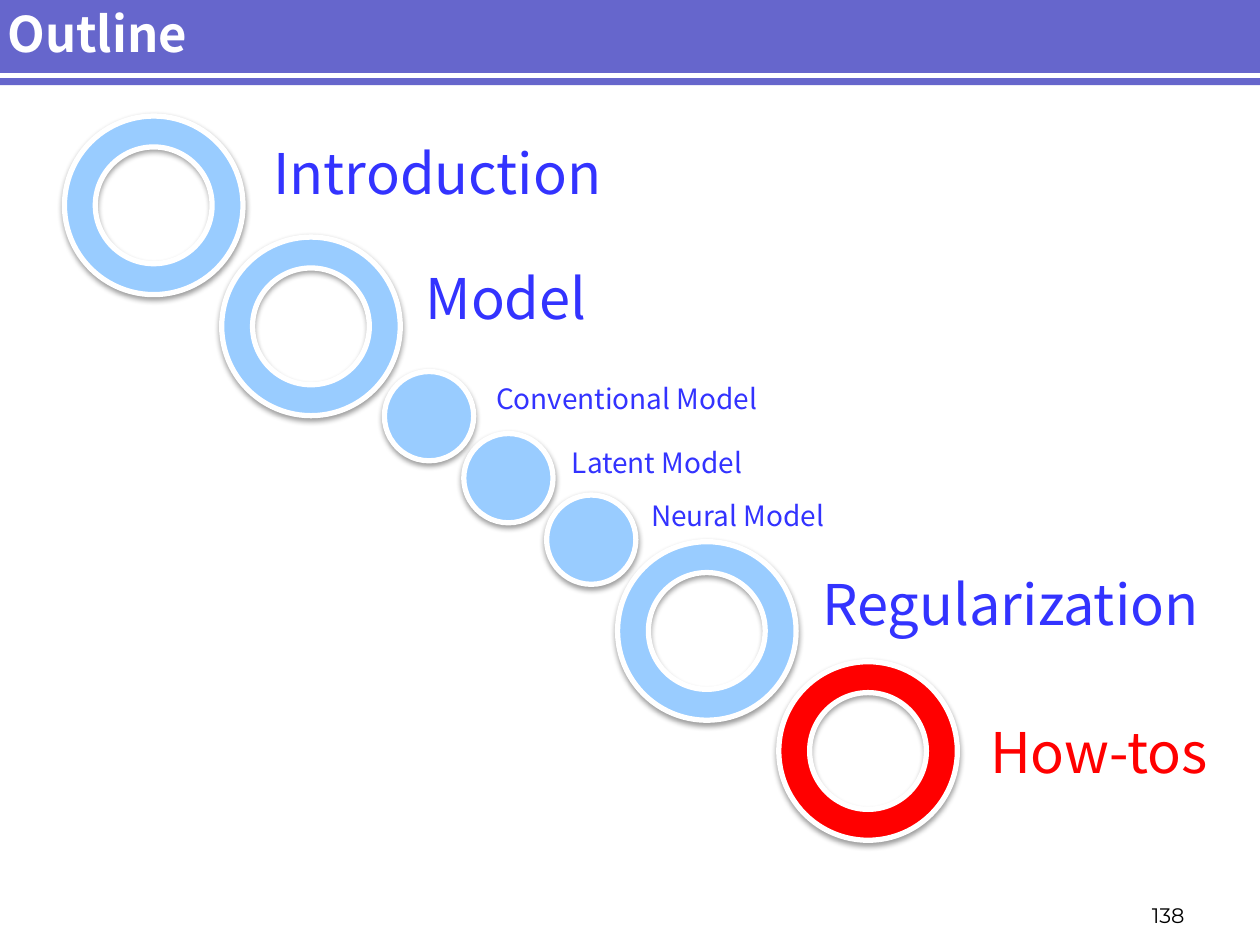
from lxml import etree
from pptx import Presentation
from pptx.dml.color import RGBColor
from pptx.enum.shapes import MSO_CONNECTOR, MSO_SHAPE
from pptx.enum.text import MSO_ANCHOR, PP_ALIGN
from pptx.oxml import parse_xml
from pptx.oxml.ns import nsdecls, qn
from pptx.util import Cm, Pt

RECTANGLE, DONUT, OVAL = MSO_SHAPE.RECTANGLE, MSO_SHAPE.DONUT, MSO_SHAPE.OVAL
STRAIGHT = MSO_CONNECTOR.STRAIGHT
TOP, MIDDLE, BOTTOM = MSO_ANCHOR.TOP, MSO_ANCHOR.MIDDLE, MSO_ANCHOR.BOTTOM
LEFT, RIGHT = PP_ALIGN.LEFT, PP_ALIGN.RIGHT

WHITE = RGBColor(0xFF, 0xFF, 0xFF)
BLACK = RGBColor(0x00, 0x00, 0x00)
PURPLE = RGBColor(0x66, 0x66, 0xCC)
SKY = RGBColor(0x99, 0xCC, 0xFF)
BLUE = RGBColor(0x33, 0x33, 0xFF)
RED = RGBColor(0xFF, 0x00, 0x00)

TITLE_FONT = "Noto Sans CJK SC"
LABEL_FONT = "Noto Sans CJK JP"
NUMBER_FONT = "Montserrat"

# Topic, marker left and top, label offset from the marker (cm), ring and text colours
TOPICS = [
    ("Introduction", 1.3, 2.34, 3.96, 0.33, SKY, BLUE),
    ("Model", 4.47, 4.78, 3.86, 0.4, SKY, BLUE),
    ("Regularization", 12.45, 10.92, 3.88, 0.43, SKY, BLUE),
    ("How-tos", 15.7, 13.34, 4.01, 0.99, RED, RED),
]
SUBTOPICS = [
    ("Neural Model", 11.02, 9.98, 1.86, -0.05, SKY, BLUE),
    ("Latent Model", 9.35, 8.74, 1.93, 0.12, SKY, BLUE),
    ("Conventional Model", 7.75, 7.49, 2.0, 0.08, SKY, BLUE),
]


def add_text(slide, box, text, size, font_name, color,
             bold=False, align=LEFT, anchor=TOP):
    frame = slide.shapes.add_textbox(*map(Cm, box)).text_frame
    frame.word_wrap = True
    frame.vertical_anchor = anchor
    frame.text = text
    line = frame.paragraphs[0]
    line.alignment = align
    font = line.runs[0].font
    font.size, font.name, font.bold = Pt(size), font_name, bold
    font.color.rgb = color
    # The same typeface for East Asian text
    east_asian = etree.SubElement(line.runs[0].font._element, qn("a:ea"))
    east_asian.set("typeface", font_name)


def add_soft_shadow(shape):
    properties = shape._element.spPr
    properties.append(parse_xml(
        f'<a:effectLst {nsdecls("a")}>'
        '<a:outerShdw blurRad="40000" dist="20000" dir="5400000" rotWithShape="0">'
        '<a:srgbClr val="000000"><a:alpha val="38000"/></a:srgbClr>'
        '</a:outerShdw></a:effectLst>'))


def add_marker(slide, kind, left, top, diameter, color):
    marker = slide.shapes.add_shape(
        kind, Cm(left), Cm(top), Cm(diameter), Cm(diameter))
    if kind == DONUT:
        marker.adjustments[0] = 0.173
    marker.fill.solid()
    marker.fill.fore_color.rgb = color
    marker.line.color.rgb = WHITE
    marker.line.width = Pt(3)
    add_soft_shadow(marker)


def add_header(slide, left, top, width, height):
    # Band
    band = slide.shapes.add_shape(
        RECTANGLE, Cm(left), Cm(top), Cm(width), Cm(height))
    band.shadow.inherit = False
    band.fill.solid()
    band.fill.fore_color.rgb = PURPLE
    band.line.fill.background()
    # White rule near the lower edge
    rule_y = Cm(top + 1.6)
    rule = slide.shapes.add_connector(
        STRAIGHT, Cm(left), rule_y, Cm(left + width), rule_y)
    rule.line.color.rgb = WHITE
    rule.line.width = Pt(3)
    etree.SubElement(rule._element.spPr, qn("a:effectLst"))
    # Title
    add_text(slide, (left, top + 0.2, 22.28, 1.1), "Outline", 28,
             TITLE_FONT, WHITE, bold=True, anchor=MIDDLE)


def add_outline_level(slide, entries, kind, diameter, label_box, size):
    for _, left, top, _, _, ring_color, _ in entries:
        add_marker(slide, kind, left, top, diameter, ring_color)
    for label, left, top, dx, dy, _, text_color in entries:
        add_text(slide, (left + dx, top + dy, *label_box), label, size,
                 LABEL_FONT, text_color)


def main():
    deck = Presentation()
    deck.slide_width, deck.slide_height = Cm(25.4), Cm(19.05)
    slide = deck.slides.add_slide(deck.slide_layouts[6])

    add_header(slide, -0.1, -0.08, 25.5, 1.8)
    add_text(slide, (21.9, 17.93, 2.23, 0.9), "138", 12, NUMBER_FONT, BLACK,
             align=RIGHT, anchor=BOTTOM)
    add_outline_level(slide, TOPICS, DONUT, 3.6, (9.96, 1.62), 32)
    add_outline_level(slide, SUBTOPICS, OVAL, 1.8, (7.16, 0.94), 16)

    deck.save("out.pptx")


if __name__ == "__main__":
    main()
